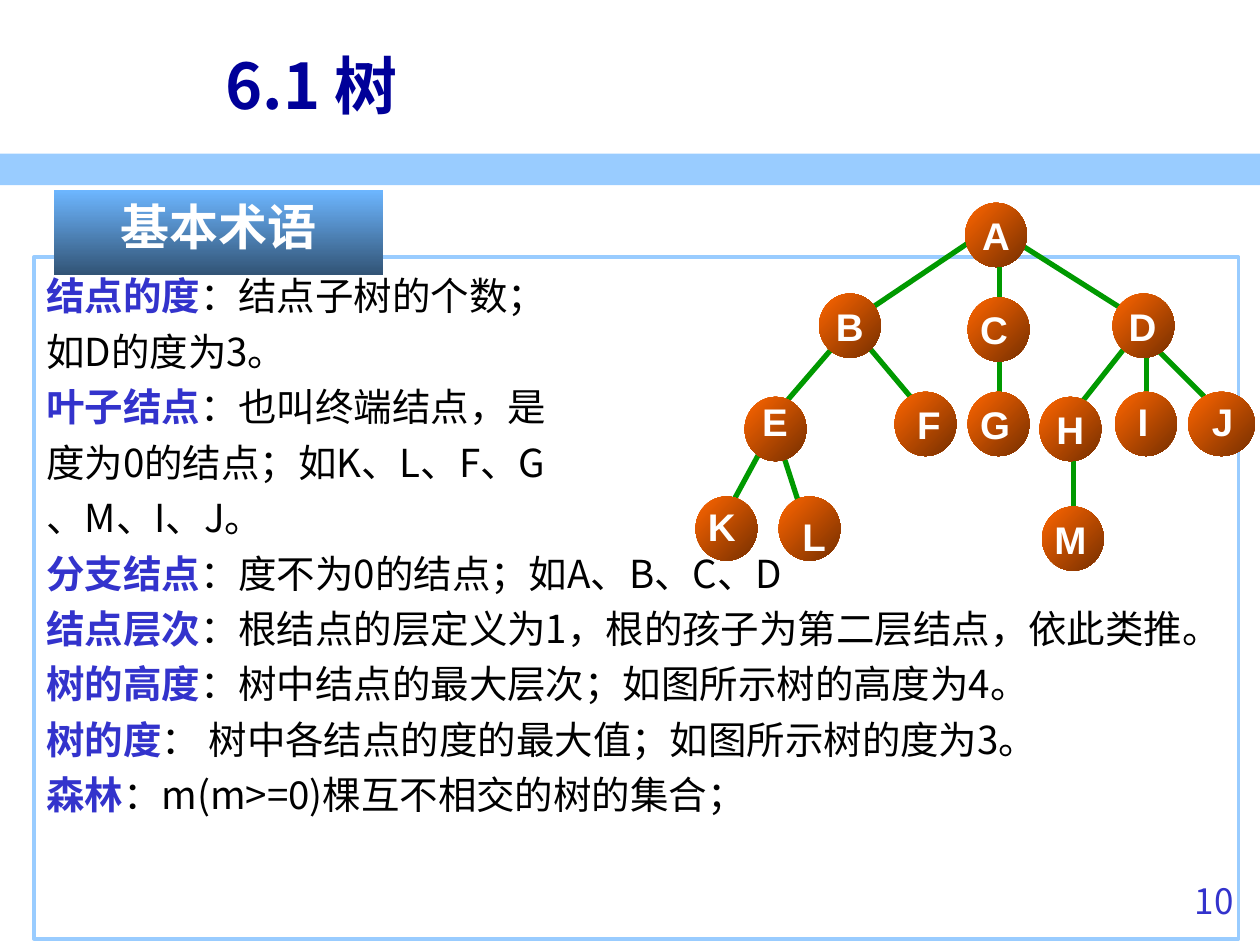
"""Build the slide on basic tree terminology with its node diagram."""
from dataclasses import dataclass
from typing import Optional

import lxml.etree
import pptx
import pptx.dml.color
import pptx.enum.shapes
import pptx.enum.text
import pptx.oxml.ns
import pptx.util

Inches = pptx.util.Inches
Pt = pptx.util.Pt
SHAPE = pptx.enum.shapes.MSO_SHAPE
ALIGN = pptx.enum.text.PP_ALIGN
ANCHOR = pptx.enum.text.MSO_ANCHOR

CJK = "Noto Sans CJK SC"
SKY, INDIGO = "99CCFF", "3333CC"
NODE_COLOURS = ("FF6600", "762F00")
NODE_SIZE = (0.49, 0.51)
LABEL = {"name": "Arial", "size": Pt(22), "bold": True, "color": "FFFFFF"}
BODY = {"name": CJK, "size": Pt(22), "bold": False, "color": "000000"}
TERM = {**BODY, "bold": True, "color": INDIGO}


@dataclass(frozen=True)
class Node:
    letter: str
    left: float
    top: float
    label_at: Optional[tuple[float, float]] = None
    width: float = NODE_SIZE[0]


@dataclass(frozen=True)
class Edge:
    start: tuple[float, float]
    end: tuple[float, float]


NODES = (
    Node("K", 5.52, 3.94, (5.52, 3.94)),
    Node("L", 6.18, 3.94, (6.27, 4.02)),
    Node("C", 7.68, 2.36, (7.68, 2.38)),
    Node("G", 7.68, 3.11, (7.68, 3.13)),
    Node("I", 8.85, 3.11, (8.93, 3.11)),
    Node("M", 8.27, 4.02, (8.27, 4.05)),
    Node("E", 5.91, 3.15, (5.95, 3.11)),
    Node("F", 7.1, 3.11, (7.18, 3.13)),
    Node("H", 8.25, 3.15),
    Node("J", 9.43, 3.11, (9.52, 3.11), 0.53),
    Node("B", 6.5, 2.33),
    Node("D", 8.83, 2.33, (8.86, 2.36)),
    Node("A", 7.66, 1.61),
)
EDGES = (
    Edge((9.1, 2.77), (9.1, 3.19)),
    Edge((8.05, 1.91), (9.03, 2.53)),
    Edge((7.8, 1.85), (6.79, 2.53)),
    Edge((9.02, 2.61), (9.6, 3.19)),
    Edge((9.03, 2.63), (8.54, 3.25)),
    Edge((6.79, 2.63), (7.26, 3.19)),
    Edge((6.6, 2.77), (6.1, 3.35)),
    Edge((8.52, 3.52), (8.52, 4.19)),
    Edge((7.93, 1.94), (7.93, 2.69)),
    Edge((7.93, 2.86), (7.93, 3.36)),
    Edge((6.2, 3.56), (6.4, 4.18)),
    Edge((6.1, 3.46), (5.71, 4.18)),
)
DEFINITIONS = (
    ("结点的度", "：结点子树的个数；"),
    ("", "如D的度为3。"),
    ("叶子结点", "：也叫终端结点，是"),
    ("", "度为0的结点；如K、L、F、G"),
    ("", "、M、I、J。"),
    ("分支结点", "：度不为0的结点；如A、B、C、D"),
    ("结点层次", "：根结点的层定义为1，根的孩子为第二层结点，依此类推。"),
    ("树的高度", "：树中结点的最大层次；如图所示树的高度为4。"),
    ("树的度", "： 树中各结点的度的最大值；如图所示树的度为3。"),
    ("森林", "：m(m>=0)棵互不相交的树的集合；"),
)


def rgb(colour: str) -> pptx.dml.color.RGBColor:
    return pptx.dml.color.RGBColor.from_string(colour)


def add_run(paragraph, text: str, style: dict) -> None:
    run = paragraph.add_run()
    run.text = text
    for attribute, value in style.items():
        if attribute == "color":
            run.font.color.rgb = rgb(value)
        else:
            setattr(run.font, attribute, value)
    east_asian = lxml.etree.SubElement(run.font._element, pptx.oxml.ns.qn("a:ea"))
    east_asian.set("typeface", style["name"])


def write(shape, text: str, style: dict, align=ALIGN.LEFT, anchor=ANCHOR.TOP, wrap=True) -> None:
    frame = shape.text_frame
    frame.word_wrap = wrap
    frame.vertical_anchor = anchor
    frame.paragraphs[0].alignment = align
    add_run(frame.paragraphs[0], text, style)


def add_text_box(shapes, at: tuple, text: str, style: dict, **layout):
    box = shapes.add_textbox(*map(Inches, at))
    write(box, text, style, **layout)
    return box


def add_shape(shapes, kind, at: tuple):
    shape = shapes.add_shape(kind, *map(Inches, at))
    shape.shadow.inherit = False
    shape.line.fill.background()
    return shape


def fill_gradient(shape, colours: tuple[str, str], angle: float) -> None:
    shape.fill.gradient()
    shape.fill.gradient_angle = angle
    for stop, colour in zip(shape.fill.gradient_stops, colours):
        stop.color.rgb = rgb(colour)


def add_edge(shapes, edge: Edge) -> None:
    branch = shapes.add_connector(
        pptx.enum.shapes.MSO_CONNECTOR.STRAIGHT, *map(Inches, edge.start + edge.end))
    branch.line.color.rgb = rgb("009900")
    branch.line.width = Pt(3)
    lxml.etree.SubElement(branch._element.spPr, pptx.oxml.ns.qn("a:effectLst"))


def add_node(shapes, node: Node) -> None:
    circle = add_shape(shapes, SHAPE.OVAL, (node.left, node.top, node.width, NODE_SIZE[1]))
    fill_gradient(circle, NODE_COLOURS, 315)
    if node.label_at is None:
        write(circle, node.letter, LABEL, ALIGN.CENTER, ANCHOR.MIDDLE, wrap=False)


def add_definitions(shapes) -> None:
    panel = add_shape(shapes, SHAPE.RECTANGLE, (0.27, 2.04, 9.56, 5.41))
    panel.fill.background()
    panel.line.color.rgb = rgb(SKY)
    panel.line.width = Pt(2.25)
    frame = panel.text_frame
    frame.word_wrap = True
    frame.vertical_anchor = ANCHOR.TOP
    for index, (term, meaning) in enumerate(DEFINITIONS):
        paragraph = frame.add_paragraph() if index else frame.paragraphs[0]
        paragraph.alignment = ALIGN.LEFT
        paragraph.line_spacing = 1.2
        if term:
            add_run(paragraph, term, TERM)
        add_run(paragraph, meaning, BODY)


def add_tree(shapes) -> None:
    tree = shapes.add_group_shape().shapes
    for edge in EDGES:
        add_edge(tree, edge)
    for node in NODES:
        add_node(tree, node)
    for node in NODES:
        if node.label_at:
            add_text_box(tree, (*node.label_at, 0.42, 0.47), node.letter, LABEL, wrap=False)


def main() -> None:
    deck = pptx.Presentation()
    deck.slide_width, deck.slide_height = Inches(10), Inches(7.5)
    shapes = deck.slides.add_slide(deck.slide_layouts[6]).shapes

    stripe = add_shape(shapes, SHAPE.RECTANGLE, (0, 1.22, 10, 0.25))
    stripe.fill.solid()
    stripe.fill.fore_color.rgb = rgb(SKY)
    page_number = add_text_box(shapes, (8.94, 6.98, 0.95, 0.52), "10",
                               {**BODY, "size": Pt(20), "color": INDIGO}, align=ALIGN.RIGHT)
    page_number.text_frame.margin_top = 0
    add_text_box(shapes, (1.69, 0.21, 8.19, 0.92), "6.1 树",
                 {**TERM, "size": Pt(36), "color": "000099"}, anchor=ANCHOR.MIDDLE)
    add_definitions(shapes)
    add_tree(shapes)
    banner = add_shape(shapes, SHAPE.RECTANGLE, (0.43, 1.51, 2.61, 0.67))
    fill_gradient(banner, ("6DB6FF", "325476"), 270)
    write(banner, "基本术语", {**TERM, "size": Pt(28), "color": "FFFFFF"}, ALIGN.CENTER)
    deck.save("out.pptx")


if __name__ == "__main__":
    main()
